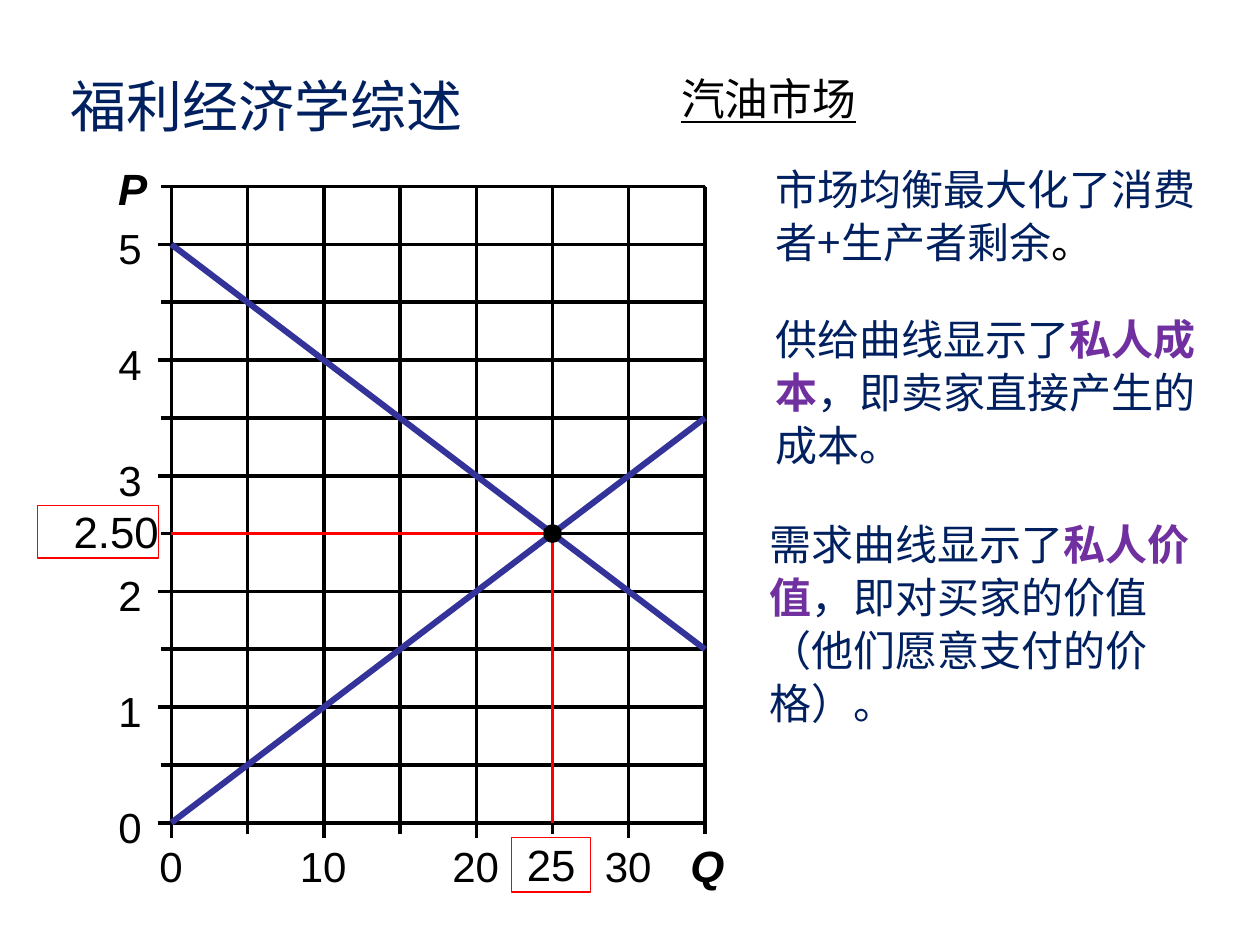
from lxml.etree import SubElement
from pptx import Presentation
from pptx.dml.color import RGBColor
from pptx.enum.shapes import MSO_CONNECTOR, MSO_SHAPE
from pptx.enum.text import MSO_ANCHOR, PP_ALIGN
from pptx.oxml.ns import qn
from pptx.util import Inches, Pt

BLACK, WHITE, RED = "000000", "FFFFFF", "FF0000"
NAVY, PURPLE, CURVE = "002060", "7030A0", "333399"
LATIN, CHINESE = "Arial", "Noto Sans CJK SC"

LEFT, BOTTOM = 1.36, 6.53
Q_MAX, P_MAX = 35, 5.5
Q_UNIT, P_UNIT = 0.121, 0.918


def rgb(value):
    return RGBColor.from_string(value)


def x_at(quantity):
    return LEFT + quantity * Q_UNIT


def y_at(price):
    return BOTTOM - price * P_UNIT


class MarketSlide:
    """Holds the current slide and the shared text, line and shape style."""

    def __init__(self, deck):
        self.slide = deck.slides.add_slide(deck.slide_layouts[5])
        self.shapes = self.slide.shapes

    def style(self, font, size, color, name=LATIN):
        font.name, font.size = name, Pt(size)
        font.color.rgb = rgb(color)

    def title(self, text, box):
        title = self.shapes.title
        title.left, title.top, title.width, title.height = map(Inches, box)
        title.text_frame.text = text
        title.text_frame.vertical_anchor = MSO_ANCHOR.MIDDLE
        heading = title.text_frame.paragraphs[0]
        heading.alignment = PP_ALIGN.LEFT
        self.style(heading.font, 32, NAVY, CHINESE)

    def line(self, start, end, color=BLACK, width=0.0):
        points = map(Inches, (*start, *end))
        line = self.shapes.add_connector(MSO_CONNECTOR.STRAIGHT, *points)
        line.line.color.rgb = rgb(color)
        line.line.width = Pt(width)
        SubElement(line._element.spPr, qn("a:effectLst"))

    def shape(self, kind, box, fill=None, outline=None, width=0.75):
        shape = self.shapes.add_shape(kind, *map(Inches, box))
        shape.shadow.inherit = False
        if fill:
            shape.fill.solid()
            shape.fill.fore_color.rgb = rgb(fill)
        else:
            shape.fill.background()
        if outline:
            shape.line.color.rgb = rgb(outline)
            shape.line.width = Pt(width)
        else:
            shape.line.fill.background()
        return shape

    def set_text(self, shape, text, size, align, inset=0.0, wrap=True):
        """Fill a shape or text box with one black paragraph; return its font."""
        frame = shape.text_frame
        frame.margin_left = frame.margin_right = Inches(inset)
        frame.margin_top = frame.margin_bottom = Inches(inset / 2)
        frame.word_wrap = wrap
        frame.vertical_anchor = MSO_ANCHOR.TOP
        paragraph = frame.paragraphs[0]
        paragraph.text, paragraph.alignment = text, align
        self.style(paragraph.font, size, BLACK)
        return paragraph.font

    def label(self, text, box, size=24, align=PP_ALIGN.LEFT):
        area = self.shapes.add_textbox(*map(Inches, box))
        return self.set_text(area, text, size, align, wrap=False)

    def box(self, text, box, align, **look):
        shape = self.shape(MSO_SHAPE.RECTANGLE, box, **look)
        return self.set_text(shape, text, 25, align)

    def note(self, box, parts):
        """Add a paragraph of (text, color, bold) parts."""
        area = self.shapes.add_textbox(*map(Inches, box))
        area.text_frame.word_wrap = True
        paragraph = area.text_frame.paragraphs[0]
        paragraph.line_spacing = 1.05
        for text, color, bold in parts:
            run = paragraph.add_run()
            run.text = text
            self.style(run.font, 24, color, CHINESE)
            run.font.bold = bold


def draw_grid(page):
    right, top = x_at(Q_MAX), y_at(P_MAX)
    prices = [step / 2 for step in range(12)]
    quantities = range(0, Q_MAX + 1, 5)
    for price in prices[1:]:
        page.line((LEFT, y_at(price)), (right, y_at(price)))
    for quantity in quantities[1:]:
        page.line((x_at(quantity), top), (x_at(quantity), BOTTOM))
    page.shape(MSO_SHAPE.RECTANGLE, (LEFT, top, right - LEFT, BOTTOM - top),
               outline=BLACK, width=1)

    page.line((LEFT, top), (LEFT, BOTTOM), width=2)
    page.line((LEFT, BOTTOM), (right, BOTTOM), width=2)
    for price in prices:
        y, major = y_at(price), price % 1 == 0
        page.line((LEFT - (0.11 if major else 0.08), y), (LEFT, y), width=2)
        if major:
            page.label(f"{price:.0f}", (0.94, y - 0.17, 0.19, 0.4))
    for quantity in quantities:
        x, major = x_at(quantity), quantity % 10 == 0
        page.line((x, BOTTOM + (0.12 if major else 0.09)), (x, BOTTOM), width=2)
        if major:
            width = 0.19 * len(str(quantity))
            page.label(str(quantity), (x - width / 2, 6.67, width, 0.4))

    for name, box in (("Q", (5.45, 6.66, 0.3, 0.42)), ("P", (0.91, 1.28, 0.26, 0.42))):
        font = page.label(name, box, 25, PP_ALIGN.RIGHT)
        font.bold = font.italic = True


def draw_market(page):
    heading = page.shape(MSO_SHAPE.RECTANGLE, (4.13, 0.52, 3.94, 0.63), fill=WHITE)
    page.set_text(heading, "汽油市场", 25, PP_ALIGN.CENTER, inset=0.1).underline = True

    for first_price, last_price in ((0, 3.5), (5, 1.5)):
        page.line((LEFT, y_at(first_price)), (x_at(Q_MAX), y_at(last_price)), CURVE, 3.5)

    x, y = x_at(25), y_at(2.5)
    page.box("2.50", (0.3, 4.01, 0.96, 0.42), PP_ALIGN.RIGHT, outline=RED)
    page.box("25", (4.06, 6.65, 0.63, 0.43), PP_ALIGN.CENTER, outline=RED)
    page.line((LEFT, y), (x, y), RED, 1.5)
    page.line((x, y), (x, BOTTOM), RED, 1.5)
    page.shape(MSO_SHAPE.OVAL, (x - 0.075, y - 0.075, 0.15, 0.15), fill=BLACK)


def main():
    deck = Presentation()
    deck.slide_width, deck.slide_height = Inches(10), Inches(7.5)
    page = MarketSlide(deck)
    page.title("福利经济学综述", (0.46, 0.58, 5.43, 0.51))
    draw_grid(page)
    draw_market(page)
    page.note((6.06, 1.23, 3.57, 0.95), [
        ("市场均衡最大化了消费者+生产者剩余", NAVY, False),
        ("。", BLACK, False),
    ])
    page.note((6.06, 2.42, 3.57, 1.35), [
        ("供给曲线显示了", NAVY, False),
        ("私人成本", PURPLE, True),
        ("，即卖家直接产生的成本。", NAVY, False),
    ])
    page.note((6.01, 4.05, 3.57, 1.77), [
        ("需求曲线显示了", NAVY, False),
        ("私人价值", PURPLE, True),
        ("，即对买家的价值（他们愿意支付的价格）。", NAVY, False),
    ])
    deck.save("out.pptx")


if __name__ == "__main__":
    main()
